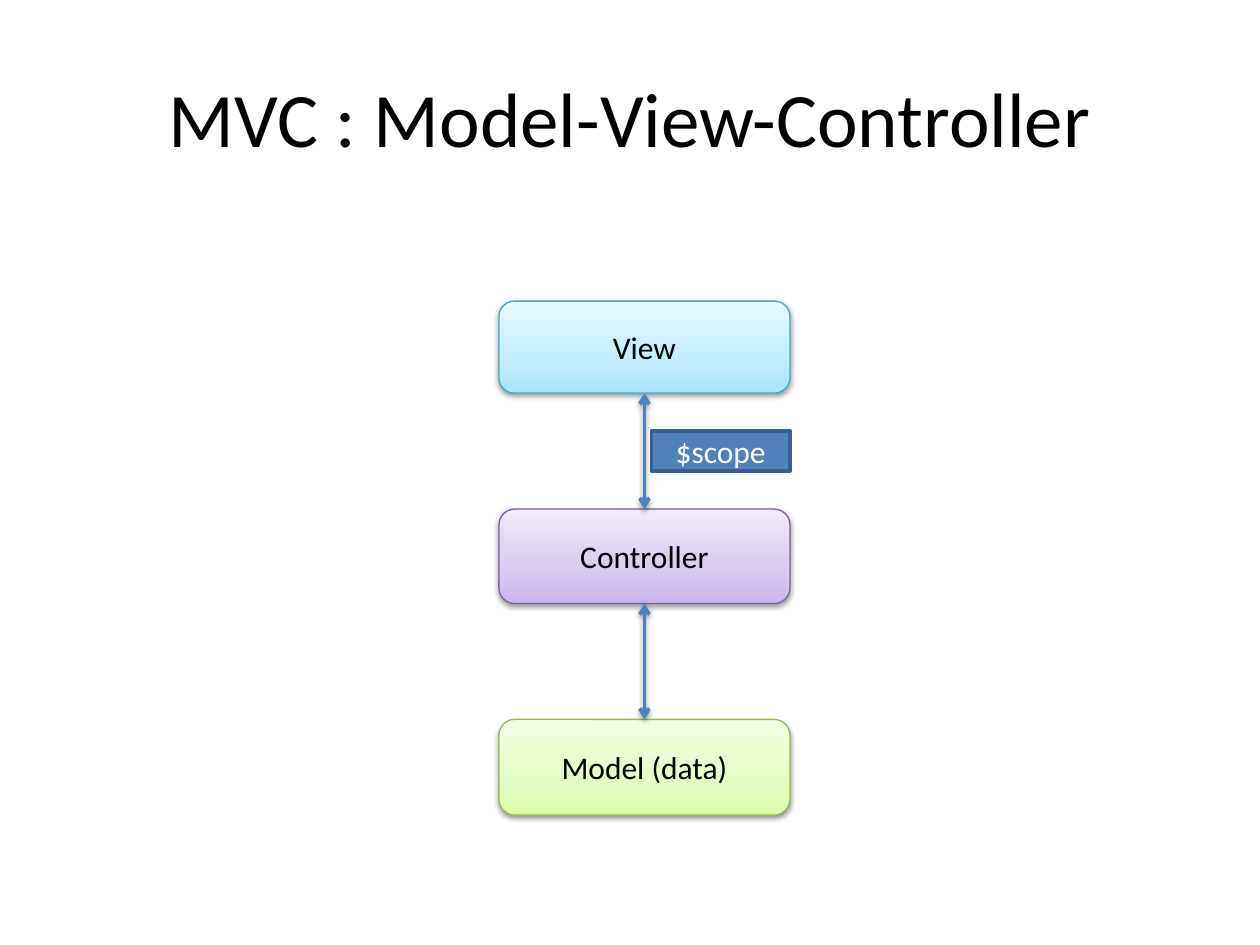
"""Build the Model-View-Controller diagram slide."""
from itertools import pairwise

from lxml import etree
from pptx import Presentation
from pptx import util as u
from pptx.dml.color import RGBColor
from pptx.enum import shapes, text
from pptx.oxml.ns import qn

FONT = "Calibri"
TITLE = "MVC : Model-View-Controller"
LAYERS = [
    ("View", 2.39, 0.73, "46AAC5", ("A7E6FF", "C1EDFF", "E7F8FF")),
    ("Controller", 4.04, 0.75, "7D60A0", ("C9B5E8", "D8CBEE", "F0EAF9")),
    ("Model (data)", 5.71, 0.76, "98B955", ("DAFDA7", "E4FCC2", "F5FFE7")),
]
STOPS = (0, 35, 100)
LAYER_LEFT, LAYER_WIDTH = 3.96, 2.31
SCOPE_WIDTH, SCOPE_HEIGHT = 1.1, 0.32


def color(value):
    return RGBColor.from_string(value)


def child(parent, tag, **attributes):
    return etree.SubElement(parent, qn(tag), {key: str(value) for key, value in attributes.items()})


def write(box, words, size, ink):
    frame = box.text_frame
    frame.word_wrap = True
    frame.vertical_anchor = text.MSO_ANCHOR.MIDDLE
    para = frame.paragraphs[0]
    para.alignment = text.PP_ALIGN.CENTER
    span = para.add_run()
    span.text = words
    span.font.name = FONT
    span.font.size = u.Pt(size)
    span.font.color.rgb = color(ink)


def outline(item, ink, width):
    item.line.color.rgb = color(ink)
    item.line.width = u.Pt(width)


def add_shadow(properties):
    effects = child(properties, "a:effectLst")
    shadow = child(effects, "a:outerShdw", blurRad=u.Pt(3.1), dist=u.Pt(1.6),
                   dir=90 * 60000, rotWithShape=0)
    child(child(shadow, "a:srgbClr", val="000000"), "a:alpha", val=38000)


def add_box(page, kind, left, top, width, height):
    return page.shapes.add_shape(kind, *map(u.Inches, (left, top, width, height)))


def add_layer(page, name, top, height, edge, shades):
    box = add_box(page, shapes.MSO_SHAPE.ROUNDED_RECTANGLE, LAYER_LEFT, top, LAYER_WIDTH, height)
    box.fill.gradient()
    box.fill.gradient_angle = 90
    stops = box._element.spPr.find(qn("a:gradFill")).find(qn("a:gsLst"))
    for stop in list(stops):
        stops.remove(stop)
    for position, shade in zip(STOPS, shades):
        child(child(stops, "a:gs", pos=position * 1000), "a:srgbClr", val=shade)
    outline(box, edge, 0.75)
    add_shadow(box._element.spPr)
    write(box, name, 18, "000000")
    return box


def add_link(page, upper, lower):
    link = page.shapes.add_connector(shapes.MSO_CONNECTOR.STRAIGHT, 0, 0, 0, 0)
    link.begin_connect(upper, 2)
    link.end_connect(lower, 0)
    outline(link, "4F81BD", 2)
    for end in ("a:headEnd", "a:tailEnd"):
        child(link.line._get_or_add_ln(), end, type="arrow")
    add_shadow(link._element.spPr)


def add_scope(page):
    (_, top, height, *_), (_, next_top, *_) = LAYERS[:2]
    middle = (top + height + next_top) / 2
    box = add_box(page, shapes.MSO_SHAPE.RECTANGLE, LAYER_LEFT + LAYER_WIDTH - SCOPE_WIDTH,
                  middle - SCOPE_HEIGHT / 2, SCOPE_WIDTH, SCOPE_HEIGHT)
    box.shadow.inherit = False
    box.fill.solid()
    box.fill.fore_color.rgb = color("4F81BD")
    outline(box, "3A5F8C", 2)
    write(box, "$scope", 18, "FFFFFF")


def main():
    deck = Presentation()
    deck.slide_width, deck.slide_height = u.Inches(10), u.Inches(7.5)
    page = deck.slides.add_slide(deck.slide_layouts[6])
    title = page.shapes.add_textbox(*map(u.Inches, (0.5, 0.3, 9, 1.25)))
    write(title, TITLE, 44, "000000")
    boxes = [add_layer(page, *layer) for layer in LAYERS]
    for upper, lower in pairwise(boxes):
        add_link(page, upper, lower)
    add_scope(page)
    deck.save("out.pptx")


if __name__ == "__main__":
    main()
